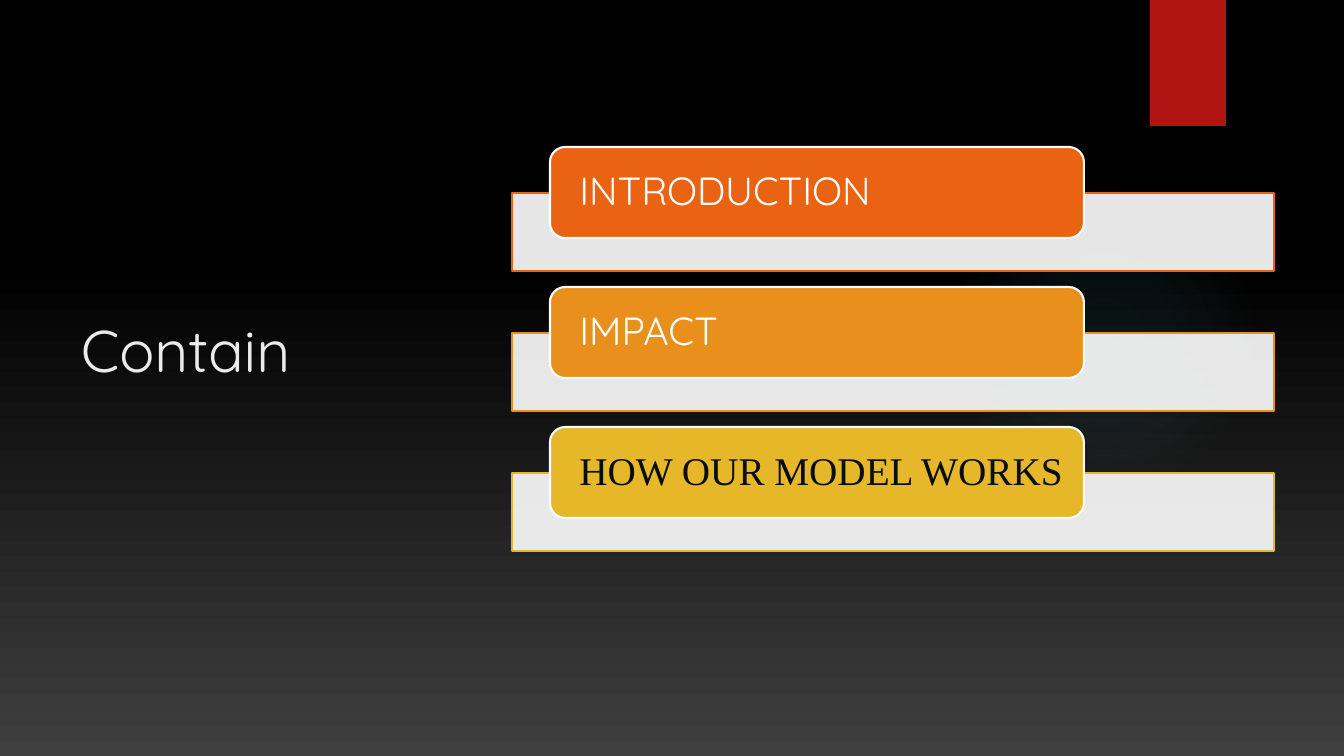
import pptx
import pptx.dml.color
import pptx.enum.shapes
import pptx.enum.text
import pptx.oxml
import pptx.oxml.ns
import pptx.util

RGBColor = pptx.dml.color.RGBColor
SHAPE = pptx.enum.shapes.MSO_SHAPE

WHITE = RGBColor(0xFF, 0xFF, 0xFF)
BLACK = RGBColor(0x00, 0x00, 0x00)
CHARCOAL = RGBColor(0x3F, 0x3F, 0x3F)
OFF_WHITE = RGBColor(0xEB, 0xEB, 0xEB)
RED = RGBColor(0xB0, 0x15, 0x13)
TEAL = RGBColor(0x50, 0xB9, 0xC1)
ORANGE = RGBColor(0xEA, 0x63, 0x12)
AMBER = RGBColor(0xE9, 0x90, 0x1C)
YELLOW = RGBColor(0xE6, 0xB7, 0x29)
INK = RGBColor(0x08, 0x0D, 0x0F)

ITEMS = [
    ("INTRODUCTION", ORANGE, WHITE, "Quicksand"),
    ("IMPACT", AMBER, WHITE, "Quicksand"),
    ("HOW OUR MODEL WORKS", YELLOW, INK, "Times New Roman"),
]
ITEM_PITCH = 140


def px(n):
    return pptx.util.Emu(round(n * 914400 / 100.8))


class Deck:
    font = "Quicksand"

    def __init__(self):
        self.prs = pptx.Presentation()
        self.prs.slide_width = px(1344)
        self.prs.slide_height = px(756)
        self.s = self.prs.slides.add_slide(self.prs.slide_layouts[5])

    def background(self, bottom, top, reach):
        fill = self.s.background.fill
        fill.gradient()
        fill.gradient_angle = 90
        for stop, color, pos in zip(fill.gradient_stops, (bottom, top), (0, reach)):
            stop.color.rgb = color
            stop.position = pos

    def shape(self, kind, x, y, w, h, fill=None, line=None, alpha=None):
        sp = self.s.shapes.add_shape(kind, px(x), px(y), px(w), px(h))
        sp.shadow.inherit = False
        if fill is None:
            sp.fill.background()
        else:
            sp.fill.solid()
            sp.fill.fore_color.rgb = fill
        if alpha is not None:
            color = sp.element.spPr.find(".//" + pptx.oxml.ns.qn("a:srgbClr"))
            color.append(pptx.oxml.parse_xml(
                f'<a:alpha {pptx.oxml.ns.nsdecls("a")} val="{alpha * 1000}"/>'))
        if line is None:
            sp.line.fill.background()
        else:
            sp.line.color.rgb = line
            sp.line.width = pptx.util.Pt(1.5)
        return sp

    def glow(self, x, y, size, color, stops):
        sp = self.shape(SHAPE.OVAL, x, y, size, size)
        gs = "".join(
            f'<a:gs pos="{pos * 1000}"><a:srgbClr val="{color}">'
            f'<a:alpha val="{alpha * 1000}"/></a:srgbClr></a:gs>'
            for pos, alpha in stops)
        gradient = pptx.oxml.parse_xml(
            f'<a:gradFill {pptx.oxml.ns.nsdecls("a")}><a:gsLst>{gs}</a:gsLst>'
            '<a:path path="circle"><a:fillToRect l="50000" t="50000" '
            'r="50000" b="50000"/></a:path></a:gradFill>')
        sp_pr = sp.element.spPr
        sp_pr.replace(sp_pr.find(pptx.oxml.ns.qn("a:noFill")), gradient)

    def text(self, sp, words, size, color, font=None, left=10, right=10):
        tf = sp.text_frame
        tf.word_wrap = True
        tf.auto_size = pptx.enum.text.MSO_AUTO_SIZE.NONE
        tf.vertical_anchor = pptx.enum.text.MSO_ANCHOR.MIDDLE
        tf.margin_left, tf.margin_right = px(left), px(right)
        tf.margin_top = tf.margin_bottom = 0
        p = tf.paragraphs[0]
        p.alignment = pptx.enum.text.PP_ALIGN.LEFT
        r = p.add_run()
        r.text = words
        r.font.size = pptx.util.Pt(size)
        r.font.name = font or self.font
        r.font.color.rgb = color
        return p

    def title(self, words, x, y, w, h):
        sp = self.s.shapes.title
        sp.left, sp.top, sp.width, sp.height = px(x), px(y), px(w), px(h)
        self.text(sp, words, 42, OFF_WHITE)

    def item(self, y, words, color, text_color, font):
        self.shape(SHAPE.RECTANGLE, 512, y + 46, 762, 78, WHITE, color, alpha=90)
        label = self.shape(SHAPE.ROUNDED_RECTANGLE, 550, y, 534, 91, color, WHITE)
        p = self.text(label, words, 28, text_color, font, left=25, right=0)
        p.line_spacing = 0.9


def main():
    deck = Deck()
    deck.background(CHARCOAL, BLACK, 0.65)
    deck.glow(949, 184, 310, TEAL, [(0, 7), (36, 6), (69, 0)])
    deck.shape(SHAPE.RECTANGLE, 1150, 0, 76, 126, RED)
    deck.title("Contain", 71, 70, 372, 557)
    for i, item in enumerate(ITEMS):
        deck.item(147 + i * ITEM_PITCH, *item)
    deck.prs.save("out.pptx")


if __name__ == "__main__":
    main()
